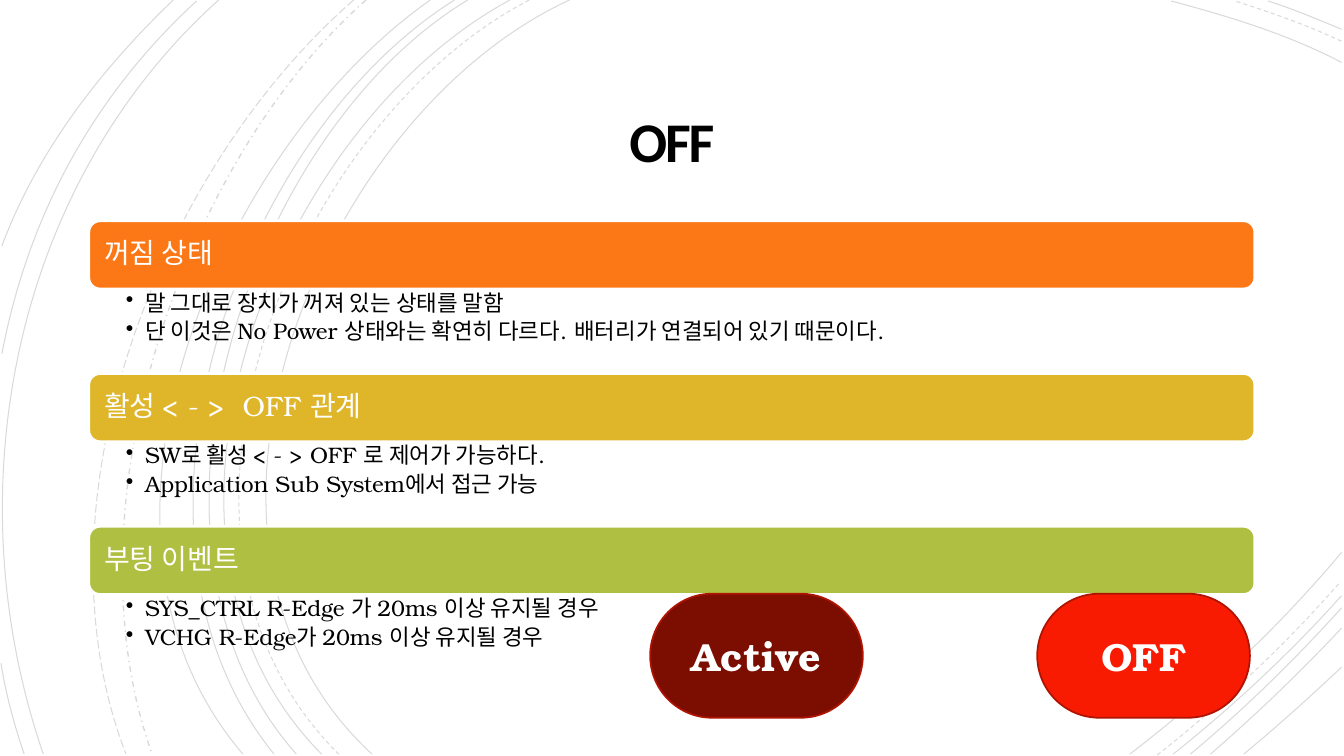
from dataclasses import dataclass

from lxml import etree
from pptx import Presentation
from pptx.dml.color import RGBColor
from pptx.enum.dml import MSO_LINE
from pptx.enum.shapes import MSO_SHAPE
from pptx.enum.text import MSO_ANCHOR, PP_ALIGN
from pptx.oxml.ns import qn
from pptx.util import Pt

ROUNDED = MSO_SHAPE.ROUNDED_RECTANGLE
MIDDLE, TOP = MSO_ANCHOR.MIDDLE, MSO_ANCHOR.TOP
LEFT, CENTER = PP_ALIGN.LEFT, PP_ALIGN.CENTER
SOLID, DASH = MSO_LINE.SOLID, MSO_LINE.DASH
DASH_DOT, LONG_DASH = MSO_LINE.DASH_DOT, MSO_LINE.LONG_DASH


@dataclass(frozen=True)
class Theme:
    """Colours, fonts and type sizes of the slide."""
    white: str = "FFFFFF"
    ink: str = "000000"
    orange: str = "FC7715"
    gold: str = "DFB62A"
    green: str = "AFBF41"
    active: str = "7C0D01"
    off: str = "F81B02"
    state_outline: str = "AF1301"
    arc_opacity: int = 15
    title_font: str = "Calibri"
    body_font: str = "TeX Gyre Bonum"
    title_size: int = 40
    heading_size: int = 20
    bullet_size: int = 16
    state_size: int = 28


THEME = Theme()

ARCS = [
    (SOLID, (406.8, 0), (226.8, 82.8), (103, 388.8), (265.7, 538.6)),
    (SOLID, (958.3, 44.6), (920.2, 24.5), (877, 11.5), (836.6, 0.7)),
    (SOLID, (807.1, 538.6), (861.8, 496.8), (913.7, 447.8), (958.3, 394.6)),
    (DASH, (378, 0), (205.2, 90), (88.6, 386.6), (241.9, 538.6)),
    (DASH, (958.3, 29.5), (933.8, 18), (907.2, 8.6), (882, 0.7)),
    (DASH, (826.6, 539.3), (873.4, 502.6), (918, 460.8), (957.6, 415.4)),
    (SOLID, (364.3, 0), (194.4, 91.4), (79.2, 386.6), (229.7, 538.6)),
    (SOLID, (958.3, 20.9), (941, 13.7), (923.8, 6.5), (905.8, 0.7)),
    (SOLID, (838.1, 538.6), (880.6, 504.7), (921.6, 466.6), (958.3, 425.5)),
    (SOLID, (334.1, 0), (175.7, 95.8), (79.2, 389.5), (211.7, 538.6)),
    (SOLID, (850.3, 538.6), (888.5, 506.9), (924.5, 471.6), (958.3, 434.2)),
    (SOLID, (324.7, 0), (166.3, 99.4), (69.8, 383.8), (195.8, 538.6)),
    (SOLID, (864.7, 538.6), (897.1, 510.5), (928.8, 480.2), (958.3, 448.6)),
    (SOLID, (307.4, 0), (156.2, 105.8), (38.2, 380.9), (173.5, 538.6)),
    (SOLID, (888.5, 538.6), (912.2, 519.1), (935.3, 498.2), (958.3, 476.6)),
    (DASH_DOT, (261.4, 0), (126.7, 119.5), (46.8, 366.5), (108.7, 538.6)),
    (LONG_DASH, (252.7, 0), (113, 121.7), (20.9, 359.3), (90, 538.6)),
    (SOLID, (156.2, 0), (7.9, 133.2), (-33.1, 352.8), (31, 538.6)),
    (SOLID, (140.4, 0.7), (66.2, 69.1), (20.2, 154.1), (1.4, 252.7)),
    (SOLID, (0.7, 473.8), (4.3, 496.1), (10.1, 517.7), (17.3, 538.6)),
    (SOLID, (123.8, 0), (72, 49.7), (26.6, 108), (1.4, 175.7)),
]

SECTIONS = [
    (THEME.orange, "꺼짐 상태",
     ["말 그대로 장치가 꺼져 있는 상태를 말함",
      "단 이것은 No Power 상태와는 확연히 다르다. 배터리가 연결되어 있기 때문이다."]),
    (THEME.gold, "활성 < - >  OFF 관계",
     ["SW로 활성 < - > OFF 로 제어가 가능하다.",
      "Application Sub System에서 접근 가능"]),
    (THEME.green, "부팅 이벤트",
     ["SYS_CTRL R-Edge 가 20ms 이상 유지될 경우",
      "VCHG R-Edge가 20ms 이상 유지될 경우"]),
]

STATES = [("Active", THEME.active), ("OFF", THEME.off)]


def rgb(colour):
    """Turn a hex string into a colour."""
    return RGBColor.from_string(colour)


def set_frame(frame, insets, anchor):
    """Set wrapping, insets (left, top, right, bottom) and anchor."""
    frame.word_wrap = True
    frame.vertical_anchor = anchor
    frame.margin_left, frame.margin_top, frame.margin_right, frame.margin_bottom = map(Pt, insets)


def style_paragraph(paragraph, text, size, colour, font=THEME.body_font,
                    bold=False, align=LEFT, spacing=0.9):
    """Write and format one paragraph."""
    paragraph.text = text
    paragraph.alignment = align
    paragraph.line_spacing = spacing
    paragraph.font.name = font
    paragraph.font.size = Pt(size)
    paragraph.font.bold = bold
    paragraph.font.color.rgb = rgb(colour)


def add_rounded(slide, box, fill, outline, weight):
    """Add a flat rounded rectangle in the box."""
    rounded = slide.shapes.add_shape(ROUNDED, *map(Pt, box))
    rounded.shadow.inherit = False
    rounded.fill.solid()
    rounded.fill.fore_color.rgb = rgb(fill)
    rounded.line.color.rgb = rgb(outline)
    rounded.line.width = Pt(weight)
    return rounded


def add_arc(slide, dash, points):
    """Draw one faint cubic curve through start, two controls and end."""
    start, *rest = [(Pt(x), Pt(y)) for x, y in points]
    builder = slide.shapes.build_freeform(*start)
    builder.add_line_segments(rest, close=False)
    arc = builder.convert_to_shape()
    arc.shadow.inherit = False
    arc.fill.background()
    arc.line.color.rgb = rgb(THEME.ink)
    arc.line.width = Pt(1 if dash == DASH_DOT else 0.75)
    arc.line.dash_style = dash
    line_colour = arc.element.spPr.find(qn("a:ln")).find(".//" + qn("a:srgbClr"))
    etree.SubElement(line_colour, qn("a:alpha"), val=str(THEME.arc_opacity * 1000))
    outline = arc.element.spPr.find(".//" + qn("a:path"))
    curve = etree.SubElement(outline, qn("a:cubicBezTo"))
    for segment in outline.findall(qn("a:lnTo")):
        curve.append(segment[0])
        outline.remove(segment)


def add_title(slide, box, text):
    """Place and format the title placeholder."""
    title = slide.shapes.title
    title.left, title.top, title.width, title.height = map(Pt, box)
    set_frame(title.text_frame, (18, 18, 18, 18), MIDDLE)
    paragraph = title.text_frame.paragraphs[0]
    style_paragraph(paragraph, text, THEME.title_size, THEME.ink,
                    THEME.title_font, bold=True, align=CENTER, spacing=0.85)
    paragraph.runs[0].font._element.set("spc", "-150")


def add_section(slide, box, colour, heading, bullets):
    """Add a heading bar with its bullets below, filling the box."""
    left, top, width, height = box
    bar_height = 48.8
    bar = add_rounded(slide, (left, top, width, bar_height), colour, THEME.white, 2)
    set_frame(bar.text_frame, (8.6, 8.6, 8.6, 8.6), MIDDLE)
    style_paragraph(bar.text_frame.paragraphs[0], heading, THEME.heading_size, THEME.white)
    details = slide.shapes.add_textbox(
        *map(Pt, (left, top + bar_height, width, height - bar_height))).text_frame
    set_frame(details, (26.6, 2, 11.5, 2), TOP)
    for index, bullet in enumerate(bullets):
        paragraph = details.add_paragraph() if index else details.paragraphs[0]
        style_paragraph(paragraph, bullet, THEME.bullet_size, THEME.ink)
        paragraph.level = 1
        paragraph.space_after = Pt(3.2)
        properties = paragraph._p.get_or_add_pPr()
        properties.set("marL", str(Pt(13.7)))
        properties.set("indent", str(-Pt(13.7)))
        mark = etree.Element(qn("a:buChar"), char="•")
        properties.find(qn("a:spcAft")).addnext(mark)


def add_state(slide, box, name, colour):
    """Add one pill naming a device state."""
    state = add_rounded(slide, box, colour, THEME.state_outline, 1.25)
    state.adjustments[0] = 0.5
    set_frame(state.text_frame, (7.2, 3.6, 7.2, 3.6), MIDDLE)
    style_paragraph(state.text_frame.paragraphs[0], name, THEME.state_size,
                    THEME.white, bold=True, align=CENTER, spacing=1.0)


def build_off_slide(deck):
    """Build the slide on the OFF state."""
    slide = deck.slides.add_slide(deck.slide_layouts[5])
    slide.background.fill.solid()
    slide.background.fill.fore_color.rgb = rgb(THEME.white)
    for dash, *points in ARCS:
        add_arc(slide, dash, points)
    add_title(slide, (138.2, 62.6, 683.3, 82.8), "OFF")
    section_height = 109.1
    for index, section in enumerate(SECTIONS):
        add_section(slide, (63.4, 157.7 + index * section_height, 833, section_height), *section)
    for index, state in enumerate(STATES):
        add_state(slide, (464.4 + index * 276.5, 424.1, 151.9, 88.6), *state)


def main():
    """Create and save the deck."""
    deck = Presentation()
    deck.slide_width, deck.slide_height = Pt(960), Pt(540)
    build_off_slide(deck)
    deck.save("out.pptx")


if __name__ == "__main__":
    main()
